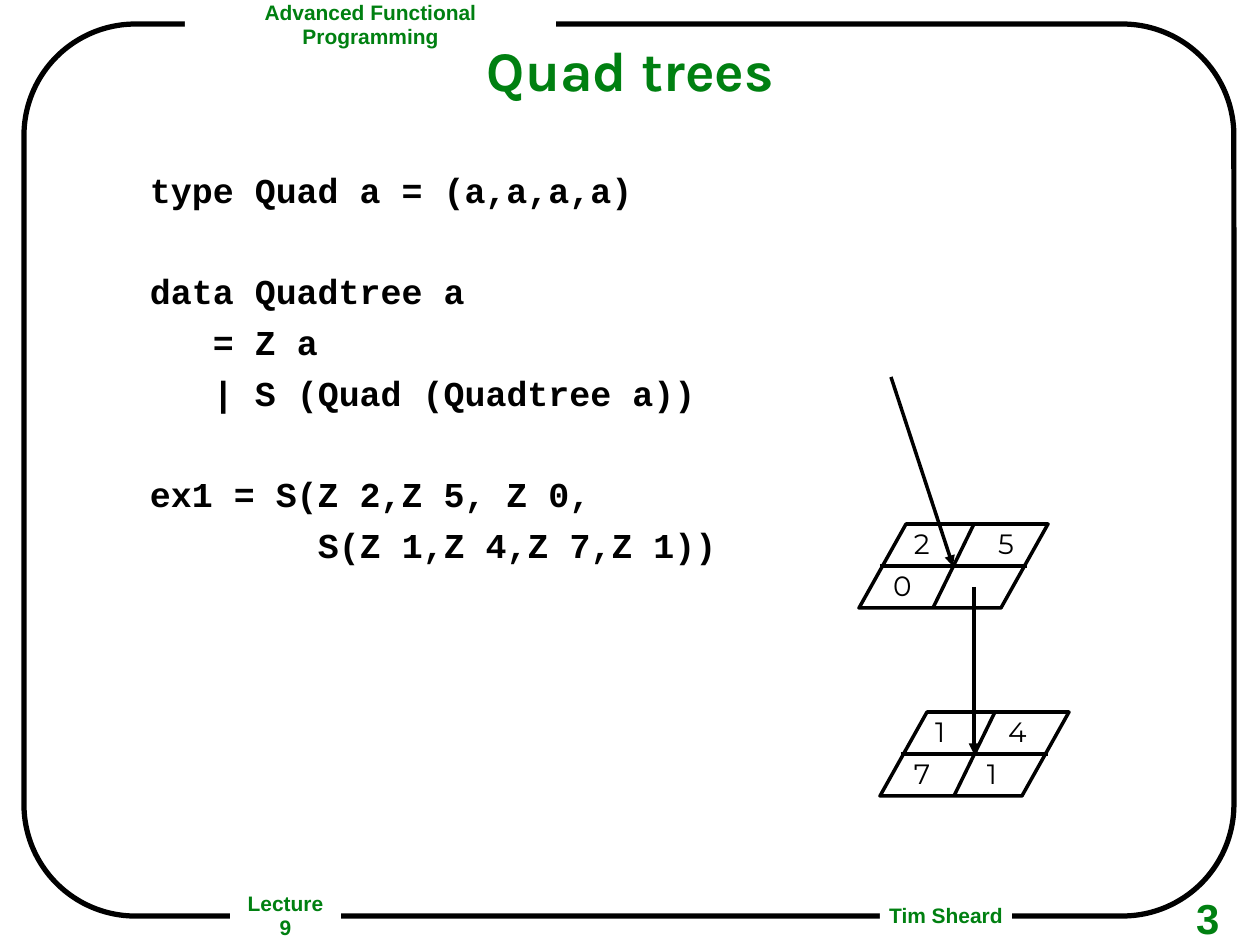
from typing import NamedTuple

from lxml import etree
from pptx import Presentation
from pptx.dml.color import RGBColor
from pptx.enum.shapes import MSO_CONNECTOR, MSO_SHAPE
from pptx.enum.text import MSO_ANCHOR, PP_ALIGN
from pptx.oxml.ns import qn
from pptx.util import Emu, Pt

ROUNDED = MSO_SHAPE.ROUNDED_RECTANGLE
PARALLELOGRAM = MSO_SHAPE.PARALLELOGRAM
STRAIGHT = MSO_CONNECTOR.STRAIGHT
LEFT, CENTER = PP_ALIGN.LEFT, PP_ALIGN.CENTER
TOP, MIDDLE = MSO_ANCHOR.TOP, MSO_ANCHOR.MIDDLE

EMU_PER_PIXEL = 914400 / 125.7
BLACK, WHITE, GREEN = "000000", "FFFFFF", "008011"
QUAD_WIDTH, QUAD_HEIGHT = 189, 84
CODE_CHARACTER = 21


class Box(NamedTuple):
    left: int
    top: int
    width: int
    height: int


class Style(NamedTuple):
    font: str
    size: int
    color: str
    bold: bool = True
    align: PP_ALIGN = LEFT
    anchor: MSO_ANCHOR = TOP
    line_spacing: float = 0.9
    inset_x: int = 9
    inset_y: int = 4
    wrap: bool = True


class Line(NamedTuple):
    text: str
    indent: int = 0
    space_before: float = 0


class Label(NamedTuple):
    text: str
    box: Box


class Digit(NamedTuple):
    text: str
    x: int
    row: int


class Quad(NamedTuple):
    left: int
    top: int
    digits: tuple[Digit, ...]


class Arrow(NamedTuple):
    x1: int
    y1: int
    x2: int
    y2: int


LABEL = Style("Arial", 12, GREEN, align=CENTER, anchor=MIDDLE, line_spacing=0.97, wrap=False)
TITLE = Style("Karla", 32, GREEN, align=CENTER, line_spacing=0.87)
NUMBER = Style("Arial", 24, GREEN, line_spacing=1.04)
CODE = Style("Courier New", 20, BLACK, inset_x=13, inset_y=6)
DIGIT = Style("Montserrat", 16, BLACK, bold=False, inset_x=13, inset_y=6)

LABELS = (
    Label("Advanced Functional Programming", Box(185, 10, 371, 31)),
    Label("Tim Sheard", Box(880, 901, 132, 31)),
    Label("Lecture 9", Box(230, 901, 111, 31)),
)
LINE_GAP, BLOCK_GAP = 7.5, 36.5
CODE_LINES = (
    Line("type Quad a = (a,a,a,a)"),
    Line("data Quadtree a", 0, BLOCK_GAP),
    Line("= Z a", 3, LINE_GAP),
    Line("| S (Quad (Quadtree a))", 3, LINE_GAP),
    Line("ex1 = S(Z 2,Z 5, Z 0,", 0, BLOCK_GAP),
    Line("S(Z 1,Z 4,Z 7,Z 1))", 8, LINE_GAP),
)
QUADS = (
    Quad(859, 524, (Digit("2", 42, 0), Digit("5", 126, 0), Digit("0", 21, 1))),
    Quad(880, 712, (Digit("1", 42, 0), Digit("4", 115, 0), Digit("7", 21, 1), Digit("1", 94, 1))),
)
ARROWS = (Arrow(974, 587, 974, 754), Arrow(891, 377, 953, 566))


def px(pixels: int) -> Emu:
    return Emu(round(pixels * EMU_PER_PIXEL))


def rgb(color: str) -> RGBColor:
    return RGBColor.from_string(color)


def add_text(box: Box, lines: tuple[Line, ...], style: Style, fill: str | None = None) -> None:
    shape = slide.shapes.add_textbox(*map(px, box))
    if fill:
        shape.fill.solid()
        shape.fill.fore_color.rgb = rgb(fill)
    frame = shape.text_frame
    frame.word_wrap = style.wrap
    frame.vertical_anchor = style.anchor
    frame.margin_left = frame.margin_right = px(style.inset_x)
    frame.margin_top = frame.margin_bottom = px(style.inset_y)
    for index, line in enumerate(lines):
        paragraph = frame.add_paragraph() if index else frame.paragraphs[0]
        paragraph.alignment = style.align
        paragraph.line_spacing = style.line_spacing
        paragraph.space_before = Pt(line.space_before)
        if line.indent:
            properties = paragraph._p.get_or_add_pPr()
            properties.set("marL", str(px(line.indent * CODE_CHARACTER)))
        run = paragraph.add_run()
        run.text = line.text
        run.font.name = style.font
        run.font.size = Pt(style.size)
        run.font.bold = style.bold
        run.font.color.rgb = rgb(style.color)


def add_outline(kind: MSO_SHAPE, box: Box, adjustment: float, width: float) -> None:
    shape = slide.shapes.add_shape(kind, *map(px, box))
    shape.shadow.inherit = False
    shape.adjustments[0] = adjustment
    shape.fill.background()
    shape.line.color.rgb = rgb(BLACK)
    shape.line.width = Pt(width)


def add_line(x1: int, y1: int, x2: int, y2: int, arrowhead: bool = False) -> None:
    connector = slide.shapes.add_connector(STRAIGHT, px(x1), px(y1), px(x2), px(y2))
    connector.line.color.rgb = rgb(BLACK)
    connector.line.width = Pt(2)
    properties = connector._element.spPr
    if arrowhead:
        etree.SubElement(properties.find(qn("a:ln")), qn("a:tailEnd"), type="triangle")
    etree.SubElement(properties, qn("a:effectLst"))


def add_quad(quad: Quad) -> None:
    left, top = quad.left, quad.top
    middle = top + QUAD_HEIGHT // 2
    add_outline(PARALLELOGRAM, Box(left, top, QUAD_WIDTH, QUAD_HEIGHT), 0.56, 2)
    add_line(left + 115, top, left + 74, top + QUAD_HEIGHT)
    add_line(left + 21, middle, left + 168, middle)
    for digit in quad.digits:
        digit_top = middle if digit.row else top
        add_text(Box(left + digit.x, digit_top, 42, 42), (Line(digit.text),), DIGIT)


presentation = Presentation()
presentation.slide_width, presentation.slide_height = px(1260), px(945)
slide = presentation.slides.add_slide(presentation.slide_layouts[6])

add_outline(ROUNDED, Box(24, 24, 1210, 892), 0.125, 3)
for label in LABELS:
    add_text(label.box, (Line(label.text),), LABEL, WHITE)
add_text(Box(1187, 887, 93, 59), (Line("3"),), NUMBER)
add_text(Box(469, 41, 323, 123), (Line("Quad trees"),), TITLE)
add_text(Box(137, 167, 984, 660), CODE_LINES, CODE)
for quad in QUADS:
    add_quad(quad)
for arrow in ARROWS:
    add_line(*arrow, arrowhead=True)

presentation.save("out.pptx")
